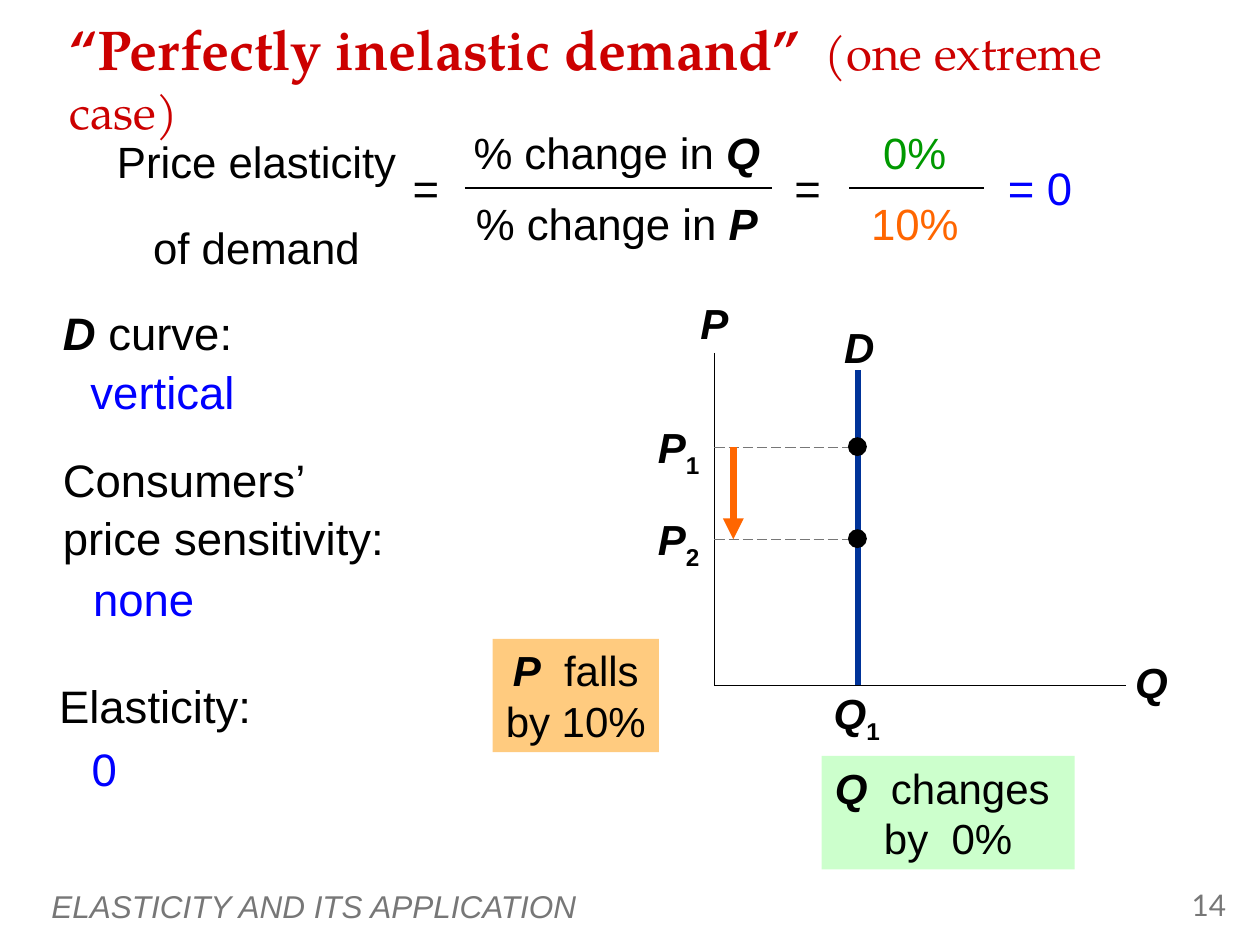
from pptx import Presentation
from pptx import util as u
from pptx.dml.color import RGBColor
from pptx.enum import dml, shapes, text
from pptx.oxml.ns import qn
from lxml import etree

BLACK, GRAY, BLUE, RED = "000000", "777777", "0000FF", "CC0000"
NAVY, ORANGE, GREEN = "003399", "FF6600", "009900"
AMBER, MINT = "FF9900", "CCFFCC"
VAR = {"bold": True, "italic": True}
SUB = {"bold": True, "baseline": -25000}
CENTER, RIGHT = text.PP_ALIGN.CENTER, text.PP_ALIGN.RIGHT
MIDDLE = text.MSO_ANCHOR.MIDDLE


def color(value):
    """Turn a hex string into a colour."""
    return RGBColor.from_string(value)


def place(box, x, y):
    """Return the slide position of a point inside a box."""
    return u.Inches(box[0] + x), u.Inches(box[1] + y)


def add_run(p, words, fmt):
    """Add one run with the given format values."""
    r = p.add_run()
    r.text = words
    fmt = dict(fmt)
    r.font.color.rgb = color(fmt.pop("color"))
    r.font.size = u.Pt(fmt.pop("size"))
    baseline = fmt.pop("baseline", None)
    if baseline:
        r._r.get_or_add_rPr().set("baseline", str(baseline))
    for name, value in fmt.items():
        setattr(r.font, name, value)


def write(sp, runs, align=None, anchor=text.MSO_ANCHOR.TOP, spacing=None, **base):
    """Fill a shape with runs, where a newline is a line break."""
    base = {"name": "Arial", "color": BLACK, "size": 24, **base}
    tf = sp.text_frame
    p = tf.paragraphs[0]
    for obj, values in (
        (tf, {"word_wrap": True, "vertical_anchor": anchor}),
        (p, {"alignment": align, "line_spacing": spacing}),
    ):
        for name, value in values.items():
            setattr(obj, name, value)
    for words, fmt in runs:
        for i, line in enumerate(words.split("\n")):
            if i:
                p.add_line_break()
            add_run(p, line, {**base, **fmt})


def add_label(s, box, x, y, w, h, runs, **fmt):
    """Add a text box inside a box."""
    runs = [(runs, {})] if isinstance(runs, str) else runs
    sp = s.shapes.add_textbox(*place(box, x, y), u.Inches(w), u.Inches(h))
    write(sp, runs, **fmt)


def add_line(s, box, start, end, line=BLACK, width=1, dash=None, arrow=False):
    """Add a straight line inside a box."""
    sp = s.shapes.add_connector(
        shapes.MSO_CONNECTOR.STRAIGHT, *place(box, *start), *place(box, *end))
    sp.line.color.rgb = color(line)
    sp.line.width = u.Pt(width)
    if dash:
        sp.line.dash_style = dash
    if arrow:
        etree.SubElement(sp.line._get_or_add_ln(), qn("a:tailEnd"), type="triangle")
    etree.SubElement(sp._element.spPr, qn("a:effectLst"))


def add_block(s, box, kind, x, y, w, h, fill, alpha=None):
    """Add a filled shape without outline inside a box."""
    sp = s.shapes.add_shape(kind, *place(box, x, y), u.Inches(w), u.Inches(h))
    sp.shadow.inherit = False
    sp.fill.solid()
    sp.fill.fore_color.rgb = color(fill)
    sp.line.fill.background()
    if alpha:
        clr = sp._element.spPr.find(qn("a:solidFill"))[0]
        etree.SubElement(clr, qn("a:alpha"), val=str(alpha * 1000))
    return sp


def add_title(s, box):
    """Write the slide title."""
    runs = [("“Perfectly inelastic demand”", {"size": 32, "bold": True}),
            ("  ", {"bold": True}), ("(one extreme case)", {})]
    add_label(s, box, 0, 0, 9.29, 0.68, runs, anchor=MIDDLE,
              name="TeX Gyre Pagella", color=RED, size=27)


def add_footer(s, box):
    """Write the chapter name and the slide number."""
    add_label(s, box, 0, 0, 8.02, 0.4, "ELASTICITY AND ITS APPLICATION",
              anchor=MIDDLE, color=GRAY, size=18, italic=True)
    add_label(s, box, 8.77, 0, 0.75, 0.4, "14", align=RIGHT,
              name="Lato", color=GRAY, size=17)


def add_equation(s, box):
    """Lay out the elasticity formula as two fractions."""
    add_label(s, box, 0, 0.1, 2.49, 0.89, "Price elasticity \nof demand",
              align=CENTER, spacing=0.95, size=25)
    for x, w, words, hue in ((2.34, 0.5, "=", BLACK), (5.37, 0.5, "=", BLACK),
                             (7.09, 0.75, "= 0", BLUE)):
        add_label(s, box, x, 0.27, w, 0.53, words, align=CENTER, color=hue, size=26)
    for y, var, value, hue in ((0, "Q", "0%", GREEN), (0.56, "P", "10%", ORANGE)):
        add_label(s, box, 2.8, y, 2.61, 0.52, [("% change in ", {}), (var, VAR)],
                  align=CENTER, size=25)
        add_label(s, box, 5.83, y, 1.28, 0.52, value, align=CENTER, color=hue, size=25)
    for left, right in ((2.9, 5.34), (5.95, 7.02)):
        add_line(s, box, (left, 0.54), (right, 0.54))


def add_findings(s, box):
    """List each question with its answer."""
    rows = (
        (0.03, 0, 0.25, 0.47, [("D", VAR), (" curve:", {})], "vertical"),
        (0.03, 1.17, 0.27, 2.11, "Consumers’ \nprice sensitivity:", "none"),
        (0, 2.96, 0.26, 3.46, "Elasticity:", "0"),
    )
    for x, y, answer_x, answer_y, question, answer in rows:
        add_label(s, box, x, y, 3.71, 0.58, question, spacing=1.05, size=26)
        add_label(s, box, answer_x, answer_y, 2.87, 0.58, answer,
                  spacing=1.05, size=26, color=BLUE)


def add_graph(s, box):
    """Draw the vertical demand curve with its two prices."""
    demand, base, prices = 1.14, 3.13, (1.24, 1.97)
    dashed = {"line": GRAY, "width": 0.75, "dash": dml.MSO_LINE.LONG_DASH}
    add_line(s, box, (0, 0.49), (0, base))
    add_line(s, box, (0, base), (3.27, base))
    add_line(s, box, (demand, prices[0]), (demand, base), **dashed)
    for y in prices:
        add_line(s, box, (0, y), (demand, y), **dashed)
    add_line(s, box, (demand, 0.63), (demand, base), NAVY, 3)
    for i, y in enumerate(prices, 1):
        add_label(s, box, -0.68, y - 0.25, 0.66, 0.5, [("P", VAR), (str(i), SUB)],
                  align=RIGHT)
        add_block(s, box, shapes.MSO_SHAPE.OVAL, demand - 0.08, y - 0.08,
                  0.15, 0.15, BLACK)
    add_line(s, box, (0.15, prices[0]), (0.15, prices[1]), ORANGE, 4, arrow=True)
    for x, y, runs in ((-0.38, 0, [("P", VAR)]), (0.77, 0.19, [("D", VAR)]),
                       (3.09, 2.85, [("Q", VAR)]),
                       (0.75, 3.1, [("Q", VAR), ("1", SUB)])):
        add_label(s, box, x, y, 0.76, 0.5, runs, align=CENTER)


def add_callouts(s, box):
    """Add the notes on the price and quantity changes."""
    for x, y, w, fill, alpha, var, words in (
            (0, 0, 1.32, AMBER, 50, "P", "  falls by 10%"),
            (2.61, 0.93, 2.01, MINT, None, "Q", "  changes \nby  0%")):
        sp = add_block(s, box, shapes.MSO_SHAPE.RECTANGLE, x, y, w, 0.9, fill, alpha)
        write(sp, [(var, VAR), (words, {})], align=CENTER)


def main():
    """Build the slide and save it."""
    prs = Presentation()
    prs.slide_width, prs.slide_height = u.Inches(10), u.Inches(7.5)
    s = prs.slides.add_slide(prs.slide_layouts[6])
    add_footer(s, (0.31, 6.99))
    add_title(s, (0.45, 0.27))
    add_graph(s, (5.67, 2.31))
    add_callouts(s, (3.91, 5.07))
    add_equation(s, (0.79, 0.95))
    add_findings(s, (0.37, 2.35))
    prs.save("out.pptx")


if __name__ == "__main__":
    main()
